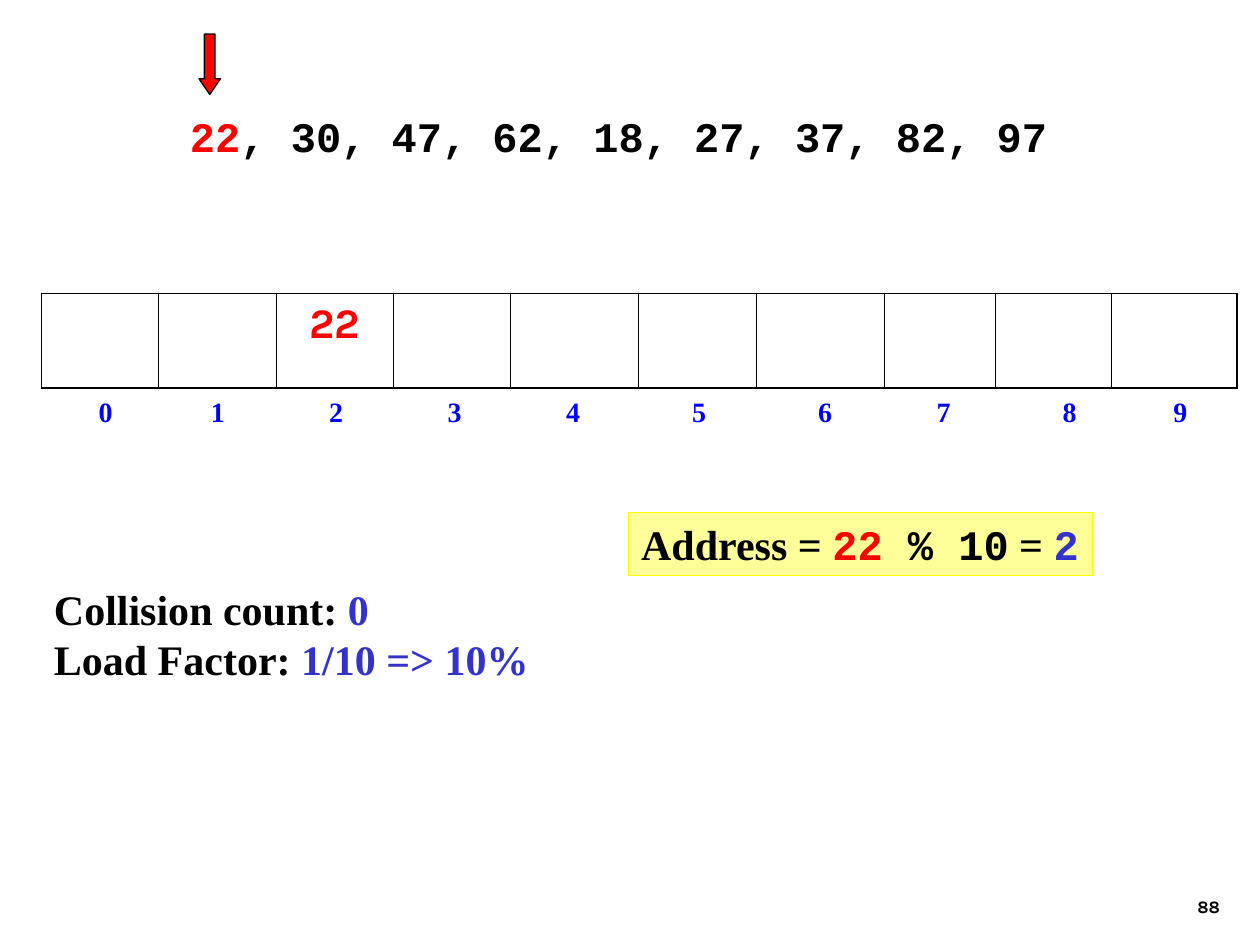
import pptx
import pptx.util
import pptx.dml.color
import pptx.enum.shapes
import pptx.enum.text
import pptx.oxml.ns
import lxml.etree

Inches = pptx.util.Inches
Color = pptx.dml.color.RGBColor
Align = pptx.enum.text.PP_ALIGN
Anchor = pptx.enum.text.MSO_ANCHOR
Shape = pptx.enum.shapes.MSO_SHAPE

BLACK = Color(0x00, 0x00, 0x00)
RED = Color(0xFF, 0x00, 0x00)
BLUE = Color(0x00, 0x00, 0xFF)
INDIGO = Color(0x33, 0x33, 0xCC)
CREAM = Color(0xFF, 0xFF, 0x99)
YELLOW = Color(0xFF, 0xFF, 0x00)

MONO, SANS, SERIF = "Courier New", "Karla", "Times New Roman"

WIDTHS = [0.93, 0.93, 0.93, 0.93, 1.02, 0.93, 1.02, 0.88, 0.92, 1]
STOPS = [0.49, 1.38, 2.32, 3.26, 4.2, 5.2, 6.2, 7.14, 8.14, 9.02]
THICK, THIN = 1.08, 0.45


def child(node, tag, **attrs):
    return lxml.etree.SubElement(node, pptx.oxml.ns.qn(tag), **attrs)


def write(para, parts, size=24):
    """Fill a paragraph with bold (text, font, colour) runs."""
    for text, face, color in parts:
        run = para.add_run()
        run.text = text
        run.font.name = face
        run.font.size = pptx.util.Pt(size)
        run.font.bold = True
        run.font.color.rgb = color


def fill_frame(frame, lines, size=24, wrap=False):
    frame.word_wrap = wrap
    for i, parts in enumerate(lines):
        para = frame.add_paragraph() if i else frame.paragraphs[0]
        para.alignment = Align.LEFT
        write(para, parts, size)


def add_text(slide, place, lines, size=24, wrap=False):
    box = slide.shapes.add_textbox(*map(Inches, place))
    fill_frame(box.text_frame, lines, size, wrap)
    return box.text_frame


def add_block(slide, kind, place, fill, line):
    block = slide.shapes.add_shape(kind, *map(Inches, place))
    block.shadow.inherit = False
    block.fill.solid()
    block.fill.fore_color.rgb = fill
    block.line.color.rgb = line
    block.line.width = pptx.util.Pt(0.75)
    return block


def add_edge(cell, side, width):
    edge = child(cell._tc.get_or_add_tcPr(), "a:ln" + side,
                 w=str(pptx.util.Pt(width)))
    child(child(edge, "a:solidFill"), "a:srgbClr", val=str(BLACK))


def add_slots(slide, values):
    """Draw the hash table; values maps an index to the key stored there."""
    place = map(Inches, (0.33, 2.33, sum(WIDTHS), 0.75))
    table = slide.shapes.add_table(1, len(WIDTHS), *place).table
    table.first_row = table.horz_banding = False
    last = len(WIDTHS) - 1
    for i, width in enumerate(WIDTHS):
        table.columns[i].width = Inches(width)
        cell = table.cell(0, i)
        add_edge(cell, "L", THIN if i else THICK)
        add_edge(cell, "R", THIN if i < last else THICK)
        add_edge(cell, "T", THICK)
        add_edge(cell, "B", THICK)
        cell.fill.background()
        if i in values:
            para = cell.text_frame.paragraphs[0]
            para.alignment = Align.CENTER
            write(para, [(values[i], SANS, RED)])


def add_index(slide):
    """Number the slots with one line of centred tab stops."""
    frame = add_text(slide, (0.25, 3.08, 9.58, 0.64), [[]], wrap=True)
    para = frame.paragraphs[0]
    tabs = child(para._p.get_or_add_pPr(), "a:tabLst")
    for stop in STOPS:
        child(tabs, "a:tab", pos=str(Inches(stop)), algn="ctr")
    label = "".join(f"\t{i}" for i in range(len(STOPS)))
    write(para, [(label, SERIF, BLUE)], 16)


def add_sum(slide):
    block = add_block(slide, Shape.RECTANGLE, (4.99, 4.07, 3.68, 0.5),
                      CREAM, YELLOW)
    block.text_frame.vertical_anchor = Anchor.TOP
    fill_frame(block.text_frame, [[
        ("Address = ", SERIF, BLACK), ("22", MONO, RED),
        (" % 10", MONO, BLACK), (" = ", SERIF, BLACK),
        ("2", MONO, INDIGO)]])


def add_number(slide):
    frame = add_text(slide, (7.7, 6.83, 2.08, 0.5),
                     [[("88", SANS, BLACK)]], 10, True)
    frame.vertical_anchor = Anchor.BOTTOM
    frame.paragraphs[0].alignment = Align.RIGHT


def main():
    deck = pptx.Presentation()
    deck.slide_width, deck.slide_height = Inches(10), Inches(7.5)
    slide = deck.slides.add_slide(deck.slide_layouts[6])

    add_number(slide)
    add_index(slide)
    add_slots(slide, {2: "22"})
    add_text(slide, (1.41, 0.83, 7, 0.5), [[
        ("22", MONO, RED),
        (", 30, 47, 62, 18, 27, 37, 82, 97", MONO, BLACK)]])
    arrow = add_block(slide, Shape.DOWN_ARROW, (1.58, 0.27, 0.17, 0.48),
                      RED, BLACK)
    arrow.adjustments[0] = 0.5
    arrow.adjustments[1] = 0.73
    add_text(slide, (0.33, 4.58, 3.97, 0.9), [
        [("Collision count: ", SERIF, BLACK), ("0", SERIF, INDIGO)],
        [("Load Factor: ", SERIF, BLACK), ("1/10 => 10%", SERIF, INDIGO)]])
    add_sum(slide)
    deck.save("out.pptx")


if __name__ == "__main__":
    main()
